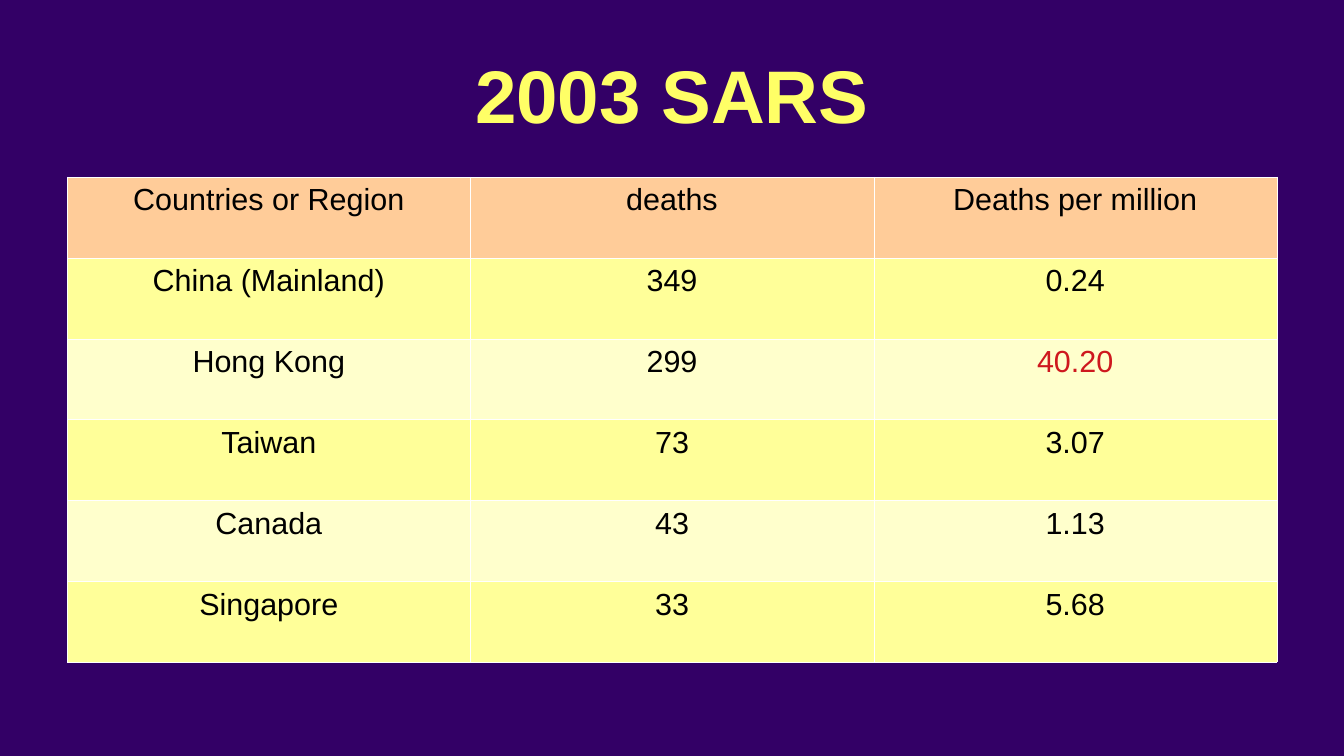
import pptx
import pptx.util
import pptx.dml.color
import pptx.enum.text
import pptx.oxml.ns
import lxml.etree

ROWS = [
    ("Countries or Region", "deaths", "Deaths per million"),
    ("China (Mainland)", "349", "0.24"),
    ("Hong Kong", "299", "40.20"),
    ("Taiwan", "73", "3.07"),
    ("Canada", "43", "1.13"),
    ("Singapore", "33", "5.68"),
]
HEAD = "FFCC99"
BANDS = ("FFFF99", "FFFFCC")
MARKED = {"40.20": "CE181E"}


def color(code):
    return pptx.dml.color.RGBColor.from_string(code)


class Page:
    """Holds the style and the slide; lengths are percent of the slide."""

    font = "Arial"
    edge = "FFFFFF"

    def __init__(self, deck, back):
        self.deck = deck
        self.slide = deck.slides.add_slide(deck.slide_layouts[6])
        fill = self.slide.background.fill
        fill.solid()
        fill.fore_color.rgb = color(back)

    def place(self, left, top, width, height):
        wide, high = self.deck.slide_width, self.deck.slide_height
        shares = ((left, wide), (top, high), (width, wide), (height, high))
        return [round(share * size / 100) for share, size in shares]

    def label(self, frame, text, code, size, bold=False):
        para = frame.paragraphs[0]
        para.alignment = pptx.enum.text.PP_ALIGN.CENTER
        run = para.add_run()
        run.text = text
        style = {"name": self.font, "size": pptx.util.Pt(size), "bold": bold}
        for key, value in style.items():
            setattr(run.font, key, value)
        run.font.color.rgb = color(code)

    def title(self, text, code, size, area):
        frame = self.slide.shapes.add_textbox(*self.place(*area)).text_frame
        style = {
            "word_wrap": True,
            "vertical_anchor": pptx.enum.text.MSO_ANCHOR.MIDDLE,
            "margin_left": 0,
            "margin_right": 0,
            "margin_top": 0,
            "margin_bottom": 0,
        }
        for key, value in style.items():
            setattr(frame, key, value)
        self.label(frame, text, code, size, bold=True)

    def border(self, cell):
        # Borders come before the fill in the cell properties
        props = cell._tc.get_or_add_tcPr()
        width = str(pptx.util.Pt(0.06))
        for side in ("a:lnL", "a:lnR", "a:lnT", "a:lnB"):
            line = lxml.etree.SubElement(props, pptx.oxml.ns.qn(side), w=width)
            fill = lxml.etree.SubElement(line, pptx.oxml.ns.qn("a:solidFill"))
            lxml.etree.SubElement(fill, pptx.oxml.ns.qn("a:srgbClr"), val=self.edge)

    def table(self, rows, size, area):
        grid = self.slide.shapes.add_table(
            len(rows), len(rows[0]), *self.place(*area)).table
        for r, row in enumerate(rows):
            shade = BANDS[(r - 1) % 2] if r else HEAD
            for c, text in enumerate(row):
                cell = grid.cell(r, c)
                self.border(cell)
                cell.fill.solid()
                cell.fill.fore_color.rgb = color(shade)
                self.label(cell.text_frame, text, MARKED.get(text, "000000"), size)


def main():
    deck = pptx.Presentation()
    deck.slide_width = pptx.util.Inches(11.02)
    deck.slide_height = pptx.util.Inches(6.2)
    page = Page(deck, "330066")

    # Heading
    page.title("2003 SARS", "FFFF66", 44, (5, 4, 90, 16.8))

    # Deaths by region
    page.table(ROWS, 18, (5, 23.4, 90, 64.2))

    deck.save("out.pptx")


if __name__ == "__main__":
    main()
